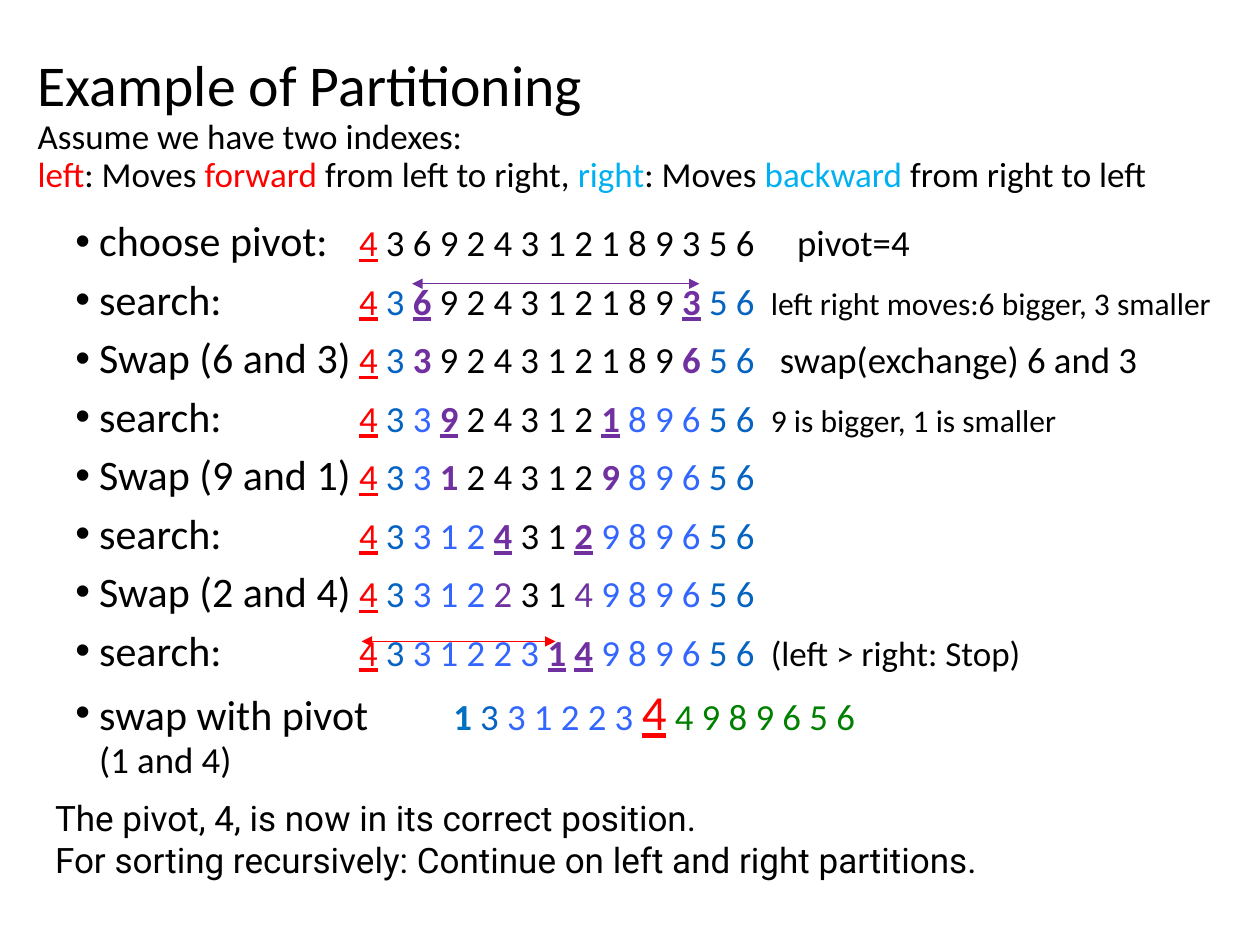
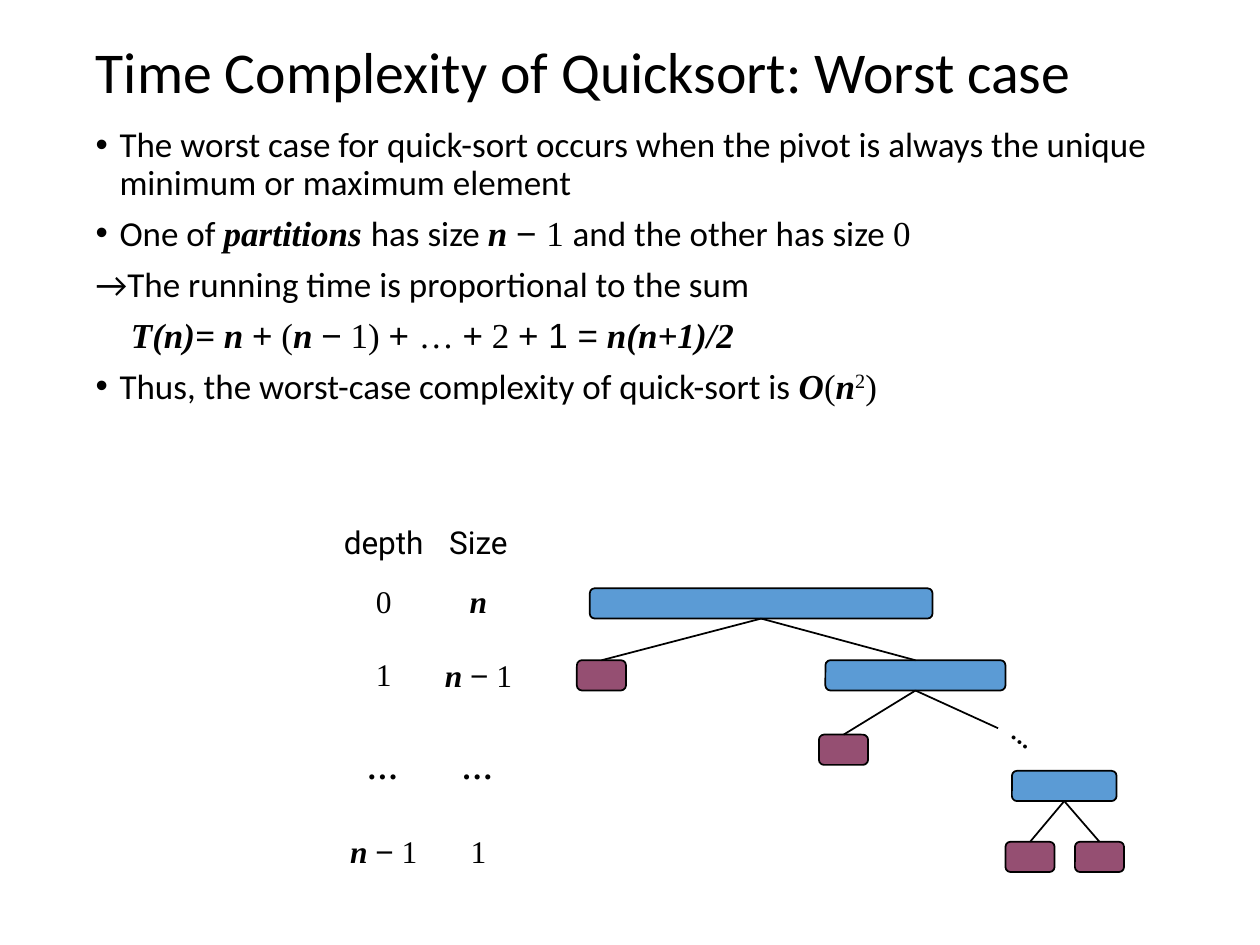
from lxml.etree import SubElement
from pptx import Presentation
from pptx.dml.color import RGBColor as RGB
from pptx.enum.shapes import MSO_CONNECTOR as CONN, MSO_SHAPE as SHAPE
from pptx.enum.text import MSO_ANCHOR as ANCHOR, MSO_AUTO_SIZE as AUTO, PP_ALIGN as ALIGN
from pptx.oxml.ns import qn
from pptx.util import Cm, Pt

COLORS = {
    "black": "000000", "red": "FF0000", "sky": "00B0F0", "purple": "7030A0",
    "blue": "0563C1", "bright": "3366FF", "mid": "0070C0", "green": "008000",
    "node": "5B9BD5", "leaf": "954F72",
}
TIMES = {"name": "Times New Roman"}

# Run styles; the one-letter ones also mark groups of digits
STYLES = {
    "k": {},
    "r": {"color": "red", "underline": True},
    "R": {"color": "red", "underline": True, "size": Pt(28)},
    "b": {"color": "blue"},
    "u": {"color": "bright"},
    "v": {"color": "purple"},
    "p": {"color": "purple", "bold": True},
    "P": {"color": "purple", "bold": True, "underline": True},
    "B": {"color": "mid", "bold": True},
    "g": {"color": "green"},
    "red": {"color": "red"},
    "sky": {"color": "sky"},
    "roboto": {"name": "Roboto"},
    "arial": {"name": "Arial"},
    "times": TIMES,
    "math": {**TIMES, "bold": True, "italic": True},
    "sup": {**TIMES, "baseline": "30000"},
}
HEADING = {"line_spacing": 0.9}
BODY = {"line_spacing": 0.9, "space_before": Pt(7.5)}
BULLET = 0.48


def fill(tf, paras, size, para_format, anchor=ANCHOR.TOP):
    """Write (runs, layout) paragraphs; a run is (style, text[, size])."""
    tf.word_wrap = True
    tf.vertical_anchor = anchor
    for i, (runs, layout) in enumerate(paras):
        p = tf.add_paragraph() if i else tf.paragraphs[0]
        for key, value in para_format.items():
            setattr(p, key, value)
        pPr = p._p.get_or_add_pPr()
        indent = layout.get("indent", 0)
        pPr.set("marL", str(Cm(indent)))
        pPr.set("indent", "0")
        if layout.get("bullet"):
            pPr.set("marL", str(Cm(BULLET)))
            pPr.set("indent", str(-Cm(BULLET)))
            SubElement(pPr, qn("a:buFont"), typeface="Arial")
            SubElement(pPr, qn("a:buChar"), char="•")
        if "tabs" in layout:
            tabs = SubElement(pPr, qn("a:tabLst"))
            for pos in layout["tabs"]:
                SubElement(tabs, qn("a:tab"), pos=str(Cm(pos)), algn="l")
        for style, text, *own in runs:
            fmt = {"name": "Calibri", "size": Pt(own[0] if own else size),
                   "color": "black", **STYLES[style]}
            for j, line in enumerate(text.split("\n")):
                if j:
                    p.add_line_break()
                if not line:
                    continue
                r = p.add_run()
                r.text = line
                for key, value in fmt.items():
                    if key == "color":
                        r.font.color.rgb = RGB.from_string(COLORS[value])
                    elif key == "baseline":
                        r._r.get_or_add_rPr().set(key, value)
                    else:
                        setattr(r.font, key, value)


def add_line(s, start, end, color="black", width=1, arrows=False):
    c = s.shapes.add_connector(CONN.STRAIGHT, *map(Cm, (*start, *end)))
    c.line.color.rgb = RGB.from_string(COLORS[color])
    c.line.width = Pt(width)
    if arrows:
        for tag in ("a:headEnd", "a:tailEnd"):
            SubElement(c.line._get_or_add_ln(), qn(tag), type="triangle")
    SubElement(c._element.spPr, qn("a:effectLst"))


prs = Presentation()
prs.slide_width, prs.slide_height = Cm(25.4), Cm(19.05)
blank = prs.slide_layouts[6]

# Slide 1: partitioning step by step
s = prs.slides.add_slide(blank)
title = s.shapes.add_textbox(Cm(0.51), Cm(0.53), Cm(23.16), Cm(4.01))
fill(title.text_frame, [([
    ("k", "Example of Partitioning\n", 33),
    ("k", "Assume we have two indexes:\n"),
    ("red", "left"), ("k", ": Moves "), ("red", "forward "),
    ("k", "from left to right, "),
    ("sky", "right"), ("k", ": Moves "), ("sky", "backward"),
    ("k", " from right to left"),
], {})], 20, HEADING, ANCHOR.MIDDLE)

# label, digits grouped by style, digit tab, note, note size, note tab
DIGITS_AT, NOTE_AT = 5.72, 14.02
steps = [
    ("choose pivot:", "r4 k36924312189356", DIGITS_AT, "pivot=4", 21, 14.55),
    ("search:", "r4 b3 P6 k924312189 P3 b56", DIGITS_AT,
     "left right moves:6 bigger, 3 smaller", 18, NOTE_AT),
    ("Swap (6 and 3)", "r4 b3 p3 k924312189 p6 b56", DIGITS_AT,
     "swap(exchange) 6 and 3", 21, 14.2),
    ("search:", "r4 b3 u3 P9 k24312 P1 u896 b56", DIGITS_AT,
     "9 is bigger, 1 is smaller", 18, NOTE_AT),
    ("Swap (9 and 1)", "r4 b3 u3 p1 k24312 p9 u896 b56", DIGITS_AT, "", 21, NOTE_AT),
    ("search:", "r4 b3 u312 P4 k31 P2 u9896 b56", DIGITS_AT, "", 21, NOTE_AT),
    ("Swap (2 and 4)", "r4 b3 u312 v2 k31 v4 u9896 b56", DIGITS_AT, "", 21, NOTE_AT),
    ("search:", "r4 b3 u31223 P1 P4 u9896 b56", DIGITS_AT,
     "(left > right: Stop)", 20, NOTE_AT),
    ("swap with pivot", "B1 b3 u31223 R4 g4989656", 7.62, "\n(1 and 4)", 21, NOTE_AT),
]
paras = []
for label, digits, digits_at, note, note_size, note_at in steps:
    runs = [("k", label + "\t", 24)]
    for group in digits.split():
        runs += [(group[0], " ".join(group[1:])), ("k", " ")]
    runs.pop()
    if note:
        runs.append(("k", note if note.startswith("\n") else "\t" + note, note_size))
    paras.append((runs, {"bullet": True, "tabs": (digits_at, note_at)}))
body = s.shapes.add_textbox(Cm(1.27), Cm(4.32), Cm(23.5), Cm(13.34))
fill(body.text_frame, paras, 21, BODY)

result = s.shapes.add_textbox(Cm(0.86), Cm(15.93), Cm(22.8), Cm(1.96))
fill(result.text_frame, [([("roboto", line)], {}) for line in (
    "The pivot, 4, is now in its correct position.",
    "For sorting recursively: Continue on left and right partitions.",
)], 20, {})

add_line(s, (14.1, 5.72), (8.31, 5.72), "purple", 0.5, arrows=True)
add_line(s, (11.2, 12.93), (7.29, 12.93), "red", 0.5, arrows=True)

# Slide 2: worst case
s = prs.slides.add_slide(blank)
title = s.shapes.add_textbox(Cm(1.68), Cm(-0.33), Cm(21.9), Cm(3.68))
fill(title.text_frame, [([("k", "Time Complexity of Quicksort: Worst case")], {})],
     33, HEADING, ANCHOR.MIDDLE)

body = s.shapes.add_textbox(Cm(1.68), Cm(2.44), Cm(22.23), Cm(6.35))
fill(body.text_frame, [
    ([("k", "The worst case for quick-sort occurs when the pivot is always "
            "the unique minimum or maximum element")], {"bullet": True}),
    ([("k", "One of "), ("math", "partitions "), ("k", "has size "), ("math", "n "),
      ("arial", "− "), ("times", "1 "), ("k", "and the other has size "),
      ("times", "0")], {"bullet": True}),
    ([("k", "→The running time is proportional to the sum")], {}),
    ([("math", "T(n)= n "), ("arial", "+"), ("times", " ("), ("math", "n "),
      ("arial", "−"), ("times", " 1) "), ("arial", "+ "), ("times", "… "),
      ("arial", "+"), ("times", " 2 "), ("arial", "+ 1 ="),
      ("math", " n(n+1)/2")], {"indent": 0.71}),
    ([("k", "Thus, the worst-case complexity of quick-sort is "), ("math", "O"),
      ("times", "("), ("math", "n"), ("sup", "2"), ("times", ")")], {"bullet": True}),
], 20, BODY)

# Recursion tree: left, top, width, colour
NODE_H, LEAF_W = 0.61, 0.99
nodes = {
    "root": (11.89, 11.86, 6.91, "node"),
    "rest": (16.64, 13.31, 3.63, "node"),
    "last": (20.4, 15.54, 2.11, "node"),
    "leaf 1": (11.63, 13.31, LEAF_W, "leaf"),
    "leaf 2": (16.51, 14.81, LEAF_W, "leaf"),
    "leaf 3": (20.27, 16.97, LEAF_W, "leaf"),
    "leaf 4": (21.67, 16.97, LEAF_W, "leaf"),
}
for left, top, width, color in nodes.values():
    sp = s.shapes.add_shape(SHAPE.ROUNDED_RECTANGLE, *map(Cm, (left, top, width, NODE_H)))
    sp.shadow.inherit = False
    sp.fill.solid()
    sp.fill.fore_color.rgb = RGB.from_string(COLORS[color])
    sp.line.color.rgb = RGB.from_string(COLORS["black"])
    sp.line.width = Pt(1)

tops = {name: (left + width / 2, top) for name, (left, top, width, _) in nodes.items()}
tops["more"] = (20.12, 14.68)
for parent, children in {"root": ("leaf 1", "rest"), "rest": ("leaf 2", "more"),
                         "last": ("leaf 3", "leaf 4")}.items():
    x, y = tops[parent]
    for child in children:
        add_line(s, (x, y + NODE_H), tops[child])

n_minus_1 = [("math", "n "), ("arial", "−"), ("times", " 1")]
dots = [("math", "…")]
rows = [
    (0.86, [("roboto", "depth")], [("roboto", "Size")]),
    (1.42, [("times", "0")], [("math", "n")]),
    (1.52, [("times", "1")], n_minus_1),
    (2.21, dots, dots),
    (1.19, n_minus_1, [("times", "1")]),
]
table = s.shapes.add_table(len(rows), 2, Cm(6.78), Cm(10.59), Cm(3.82), Cm(7.2)).table
table.first_row = table.horz_banding = False
for column in table.columns:
    column.width = Cm(1.91)
for i, (height, *cells) in enumerate(rows):
    table.rows[i].height = Cm(height)
    for j, runs in enumerate(cells):
        cell = table.cell(i, j)
        cell.fill.background()
        for side in ("left", "right", "top", "bottom"):
            setattr(cell, "margin_" + side, 0)
        fill(cell.text_frame, [(runs, {})], 18,
             {"alignment": ALIGN.CENTER, "space_before": Pt(3.6)})
        cell.vertical_anchor = ANCHOR.MIDDLE if i else ANCHOR.TOP

more = s.shapes.add_textbox(Cm(20.14), Cm(14.27), Cm(1.19), Cm(1.27))
more.rotation = 38.4
fill(more.text_frame, [([("roboto", "…")], {})], 20, {})
more.text_frame.word_wrap = False
more.text_frame.auto_size = AUTO.SHAPE_TO_FIT_TEXT

prs.save("out.pptx")
